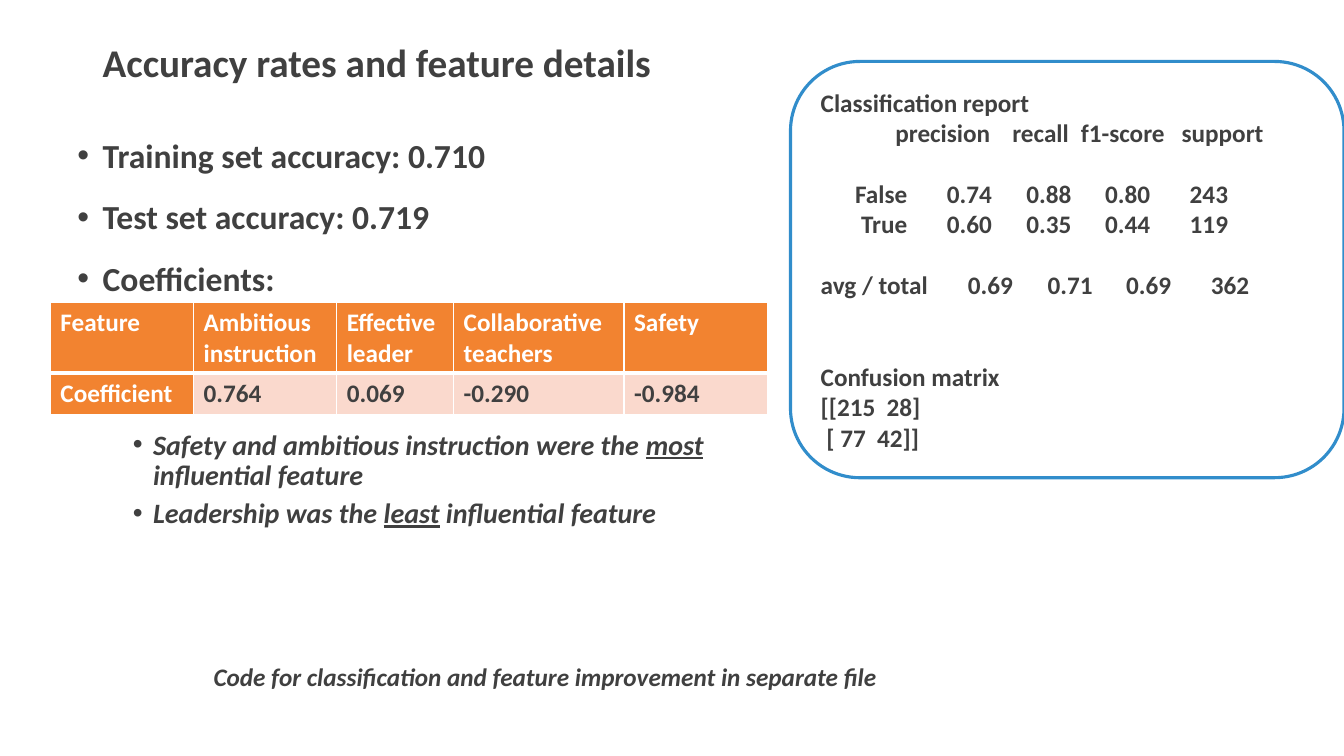
"""Build the slide on accuracy rates and feature details."""
from lxml.etree import SubElement
from pptx import Presentation
from pptx.dml.color import RGBColor
from pptx.enum.shapes import MSO_SHAPE as Shape
from pptx.enum.text import MSO_ANCHOR as Anchor
from pptx.oxml.ns import qn
from pptx.util import Inches, Pt

COLORS = {"text": "404040", "white": "FFFFFF", "outline": "318DCB",
          "header": "F28330", "value": "FAD9CD"}
FEATURES = [["Feature", "Ambitious instruction", "Effective leader",
             "Collaborative teachers", "Safety"],
            ["Coefficient", "0.764", "0.069", "-0.290", "-0.984"]]
COLUMN_WIDTHS = [1.42, 1.42, 1.16, 1.69, 1.42]
ROW_HEIGHTS = [0.7, 0.41]
SCORE_STOPS = [1.25, 2.04, 2.82, 3.66]
REPORT = [
    ("Classification report", [], 0),
    ("\tprecision\trecall\tf1-score\tsupport", [0.74, 1.9, 2.58, 3.58], 0),
    ("\tFalse\t0.74\t0.88\t0.80\t243", [0.34, *SCORE_STOPS], 22),
    ("\tTrue\t0.60\t0.35\t0.44\t119", [0.4, *SCORE_STOPS], 0),
    ("avg / total\t0.69\t0.71\t0.69\t362", [stop + 0.21 for stop in SCORE_STOPS], 22),
    ("Confusion matrix", [], 44),
    ("[[215  28]", [], 0),
    (" [ 77  42]]", [], 0),
]
ACCURACIES = ["Training set accuracy: 0.710", "Test set accuracy: 0.719", "Coefficients:"]
FINDINGS = [
    (["Safety and ambitious instruction were the ", "most", " influential feature"], 94.7),
    (["Leadership was the ", "least", " influential feature"], 6),
]


def rgb(name):
    """Return a palette colour."""
    return RGBColor.from_string(COLORS[name])


def add_run(paragraph, text, size, color="text", **formats):
    """Add a bold Calibri run."""
    font = paragraph.add_run().font
    paragraph.runs[-1].text = text
    values = {"name": "Calibri", "size": Pt(size), "bold": True, **formats}
    for attribute, value in values.items():
        setattr(font, attribute, value)
    font.color.rgb = rgb(color)


def next_paragraph(frame):
    """Return the empty first paragraph or a new one."""
    first = frame.paragraphs[0]
    return frame.add_paragraph() if first.runs else first


def add_text_box(slide, left, top, width, height, anchor=Anchor.TOP):
    """Add a wrapping text box and return its frame."""
    frame = slide.shapes.add_textbox(*map(Inches, (left, top, width, height))).text_frame
    frame.word_wrap = True
    frame.vertical_anchor = anchor
    return frame


def add_bullet(frame, texts, size, margin, indent, before, **formats):
    """Add a bullet paragraph whose every second run is underlined."""
    paragraph = next_paragraph(frame)
    paragraph.line_spacing = 0.9
    paragraph.space_before = Pt(before)
    properties = paragraph._p.get_or_add_pPr()
    properties.set("marL", str(Inches(margin)))
    properties.set("indent", str(Inches(-indent)))
    SubElement(properties, qn("a:buFont"), typeface="Arial")
    SubElement(properties, qn("a:buChar"), char="•")
    for index, text in enumerate(texts):
        add_run(paragraph, text, size, underline=index % 2 == 1, **formats)
    return paragraph


def add_report(slide):
    """Add the rounded panel with the classification report."""
    panel = slide.shapes.add_shape(Shape.ROUNDED_RECTANGLE,
                                   *map(Inches, (7.84, 0.61, 5.49, 4.13)))
    panel.shadow.inherit = False
    panel.fill.solid()
    panel.fill.fore_color.rgb = rgb("white")
    panel.line.color.rgb = rgb("outline")
    panel.line.width = Pt(2.25)
    frame = panel.text_frame
    frame.word_wrap = True
    frame.vertical_anchor = Anchor.MIDDLE
    for text, stops, before in REPORT:
        paragraph = next_paragraph(frame)
        paragraph.space_before = Pt(before)
        properties = paragraph._p.get_or_add_pPr()
        properties.set("algn", "l")
        if stops:
            tabs = SubElement(properties, qn("a:tabLst"))
            for stop in stops:
                SubElement(tabs, qn("a:tab"), pos=str(Inches(stop)), algn="l")
        add_run(paragraph, text, 18)


def set_borders(cell, **widths):
    """Draw white cell borders with the given widths."""
    properties = cell._tc.get_or_add_tcPr()
    for side in "LRTB":
        line = SubElement(properties, qn(f"a:ln{side}"), w=str(Pt(widths.get(side, 1))))
        fill = SubElement(line, qn("a:solidFill"))
        SubElement(fill, qn("a:srgbClr"), val=COLORS["white"])


def add_feature_table(slide):
    """Add the table of feature coefficients."""
    table = slide.shapes.add_table(
        len(FEATURES), len(COLUMN_WIDTHS), Inches(0.5), Inches(3),
        Inches(sum(COLUMN_WIDTHS)), Inches(sum(ROW_HEIGHTS))).table
    table.horz_banding = False
    for column, width in zip(table.columns, COLUMN_WIDTHS):
        column.width = Inches(width)
    for row, height in zip(table.rows, ROW_HEIGHTS):
        row.height = Inches(height)
    for row_index, texts in enumerate(FEATURES):
        for column_index, text in enumerate(texts):
            cell = table.cell(row_index, column_index)
            is_header = row_index == 0 or column_index == 0
            set_borders(cell, **({"B": 3} if row_index == 0 else {"T": 3}))
            cell.fill.solid()
            cell.fill.fore_color.rgb = rgb("header" if is_header else "value")
            add_run(cell.text_frame.paragraphs[0], text, 18,
                    "white" if is_header else "text")


def main():
    """Build and save the presentation."""
    presentation = Presentation()
    presentation.slide_width = Inches(13.33)
    presentation.slide_height = Inches(7.5)
    slide = presentation.slides.add_slide(presentation.slide_layouts[6])

    title = add_text_box(slide, 0.92, 0.05, 10.75, 1.18, Anchor.MIDDLE).paragraphs[0]
    title.line_spacing = 0.9
    add_run(title, "Accuracy rates and feature details", 28)

    body = add_text_box(slide, 0.67, 1.33, 7.42, 4.25)
    for text in ACCURACIES:
        add_bullet(body, [text], 24, 0.25, 0.25, 18)
    for texts, before in FINDINGS:
        add_bullet(body, texts, 20, 0.75, 0.2, before, italic=True).level = 2

    add_report(slide)
    footer = add_text_box(slide, 2.02, 6.51, 6.87, 0.4).paragraphs[0]
    add_run(footer, "Code for classification and feature improvement in separate file",
            18, italic=True)
    add_feature_table(slide)
    presentation.save("out.pptx")


if __name__ == "__main__":
    main()
